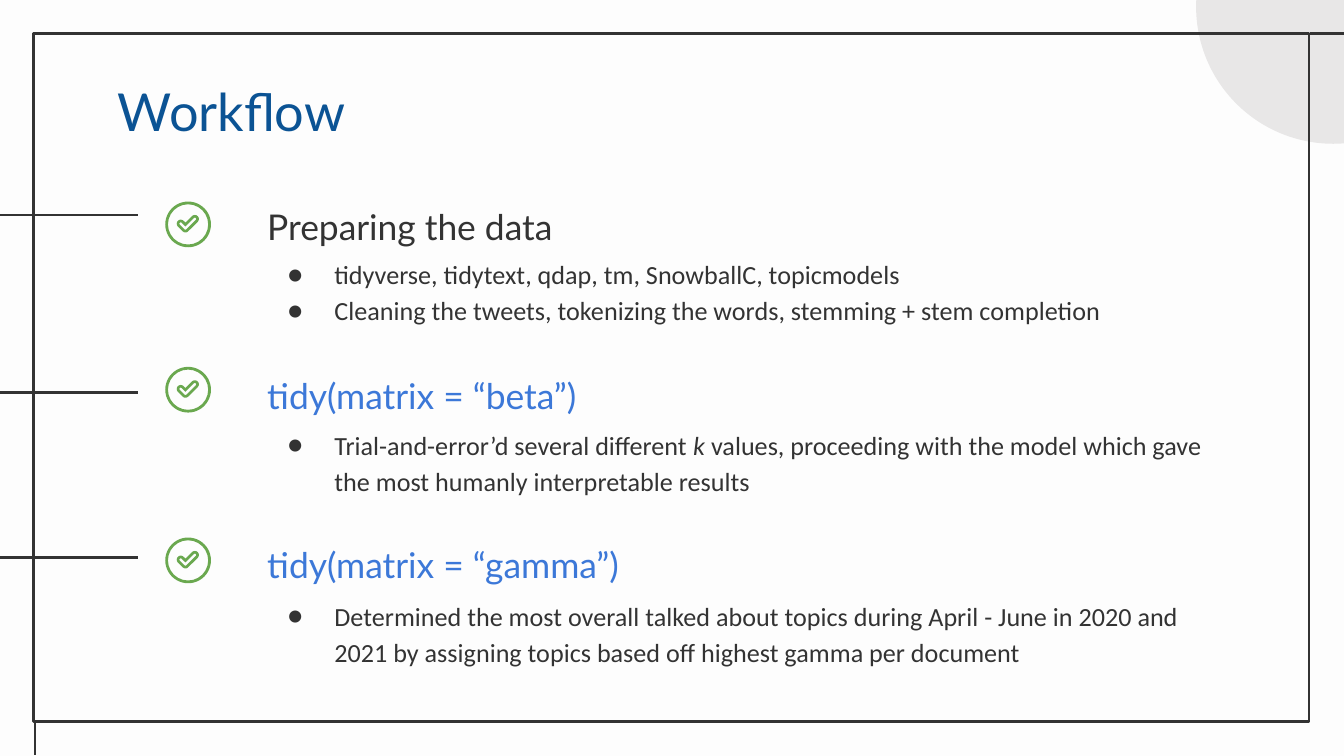
import math
from dataclasses import dataclass
from typing import NamedTuple

from lxml import etree
from pptx import Presentation
from pptx import util as u
from pptx.dml.color import RGBColor
from pptx.enum import shapes, text
from pptx.oxml import ns


@dataclass(frozen=True)
class Theme:
    paper: str = "FDFDFD"
    ink: str = "333333"
    title: str = "0B5394"
    code: str = "3C78D8"
    check: str = "6AA84F"
    disc: str = "E8E7E7"
    heading_font: str = "Lato"
    body_font: str = "Calibri"
    title_size: float = 28
    heading_size: float = 19
    body_size: float = 14
    rule_width: float = 1.5
    spacing: float = 1.15


class Run(NamedTuple):
    words: str
    italic: bool = False


class Step(NamedTuple):
    heading: str
    color: str
    bullets: list[list[Run]]
    rule_y: float
    check_y: float


THEME = Theme()
CHECK_LEFT, CHECK_SIZE = 1.23, 0.34
TEXT_LEFT, TEXT_WIDTH, TEXT_HEIGHT = 1.89, 7.23, 0.58
HEADING_TOP, HEADING_PITCH = 1.36, 1.26
BODY_TOP, BODY_PITCH = 1.79, 1.27

STEPS = [
    Step("Preparing the data", THEME.ink, [
        [Run("tidyverse, tidytext, qdap, tm, SnowballC, topicmodels")],
        [Run("Cleaning the tweets, tokenizing the words, stemming + stem completion")],
    ], 1.6, 1.5),
    Step("tidy(matrix = “beta”)", THEME.code, [
        [Run("Trial-and-error’d several different "), Run("k", italic=True),
         Run(" values, proceeding with the model which gave the most humanly "
             "interpretable results")],
    ], 2.92, 2.73),
    Step("tidy(matrix = “gamma”)", THEME.code, [
        [Run("Determined the most overall talked about topics during April - June "
             "in 2020 and 2021 by assigning topics based off highest gamma per document")],
    ], 4.15, 4.0),
]


def rgb(color: str) -> RGBColor:
    return RGBColor.from_string(color)


def fill_plain(shape, color: str) -> None:
    shape.shadow.inherit = False
    shape.fill.solid()
    shape.fill.fore_color.rgb = rgb(color)
    shape.line.fill.background()


def add_rule(slide, x1: float, y1: float, x2: float, y2: float) -> None:
    rule = slide.shapes.add_connector(
        shapes.MSO_CONNECTOR.STRAIGHT, *map(u.Inches, (x1, y1, x2, y2)))
    rule.line.color.rgb = rgb(THEME.ink)
    rule.line.width = u.Pt(THEME.rule_width)
    etree.SubElement(rule._element.spPr, ns.qn("a:effectLst"))


def add_bullet(paragraph) -> None:
    props = paragraph._p.get_or_add_pPr()
    props.set("marL", str(u.Inches(0.5)))
    props.set("indent", str(u.Inches(-0.35)))
    bullet_color = etree.SubElement(props, ns.qn("a:buClr"))
    etree.SubElement(bullet_color, ns.qn("a:srgbClr"), val=THEME.ink)
    etree.SubElement(props, ns.qn("a:buFont"), typeface=THEME.body_font)
    etree.SubElement(props, ns.qn("a:buChar"), char="●")


def add_words(slide, box: tuple, paragraphs: list[list[Run]], font: str, size: float,
              color: str, spacing: float = 1.0, bulleted: bool = False,
              anchor=text.MSO_ANCHOR.TOP) -> None:
    frame = slide.shapes.add_textbox(*map(u.Inches, box)).text_frame
    margin = u.Inches(0.1)
    frame_format = {"word_wrap": True, "vertical_anchor": anchor,
                    "margin_left": margin, "margin_right": margin,
                    "margin_top": margin, "margin_bottom": margin}
    for name, value in frame_format.items():
        setattr(frame, name, value)
    for index, runs in enumerate(paragraphs):
        paragraph = frame.add_paragraph() if index else frame.paragraphs[0]
        if bulleted:
            add_bullet(paragraph)
        paragraph.line_spacing = spacing
        for words, italic in runs:
            run = paragraph.add_run()
            run.text = words
            run_format = {"name": font, "size": u.Pt(size), "italic": italic}
            for name, value in run_format.items():
                setattr(run.font, name, value)
            run.font.color.rgb = rgb(color)


def tick_contour(left: float, top: float, radius: float) -> list[tuple]:
    """Rounded outline at a given distance from the tick's two 45-degree strokes."""
    def arc(x: float, y: float, first: int, last: int) -> list[tuple]:
        return [(x + radius * math.cos(math.radians(a)),
                 y + radius * math.sin(math.radians(a)))
                for a in range(first, last + 1, 15)]

    elbow_x, elbow_y = left + 0.15, top + 0.2
    points = (arc(elbow_x - 0.035, elbow_y - 0.035, 135, 315)
              + [(elbow_x, elbow_y - radius * math.sqrt(2))]
              + arc(elbow_x + 0.07, elbow_y - 0.07, 225, 405)
              + arc(elbow_x, elbow_y, 45, 135))
    return [(u.Inches(x), u.Inches(y)) for x, y in points]


def add_check(slide, left: float, top: float) -> None:
    ring = slide.shapes.add_shape(
        shapes.MSO_SHAPE.DONUT, *map(u.Inches, (left, top, CHECK_SIZE, CHECK_SIZE)))
    ring.adjustments[0] = 0.06
    fill_plain(ring, THEME.check)

    outer = tick_contour(left, top, 0.03)
    inner = tick_contour(left, top, 0.01)[::-1]
    builder = slide.shapes.build_freeform(*outer[0])
    builder.add_line_segments(outer[1:], close=True)
    builder.move_to(*inner[0])
    builder.add_line_segments(inner[1:], close=True)
    fill_plain(builder.convert_to_shape(), THEME.check)


def add_backdrop(slide) -> None:
    slide.background.fill.solid()
    slide.background.fill.fore_color.rgb = rgb(THEME.paper)
    disc = slide.shapes.add_shape(
        shapes.MSO_SHAPE.OVAL, *map(u.Inches, (8.9, -0.97, 2.04, 2.04)))
    fill_plain(disc, THEME.disc)
    for step in STEPS:
        add_rule(slide, 0, step.rule_y, 1.03, step.rule_y)
    border = slide.shapes.add_shape(
        shapes.MSO_SHAPE.RECTANGLE, *map(u.Inches, (0.25, 0.25, 9.49, 5.12)))
    border.shadow.inherit = False
    border.fill.background()
    border.line.color.rgb = rgb(THEME.ink)
    border.line.width = u.Pt(THEME.rule_width)
    add_rule(slide, 10, 0.25, 9.75, 0.25)
    add_rule(slide, 0.26, 5.38, 0.26, 5.62)


def main() -> None:
    deck = Presentation()
    deck.slide_width = u.Inches(10)
    deck.slide_height = deck.slide_width * 9 // 16
    slide = deck.slides.add_slide(deck.slide_layouts[6])

    # Frame, corner disc and side rules
    add_backdrop(slide)

    # Title
    add_words(slide, (0.78, 0.49, 8.43, 0.63), [[Run("Workflow")]],
              THEME.heading_font, THEME.title_size, THEME.title)

    # Steps: heading, bullets and check mark
    for index, step in enumerate(STEPS):
        heading_top = HEADING_TOP + index * HEADING_PITCH
        body_top = BODY_TOP + index * BODY_PITCH
        add_words(slide, (TEXT_LEFT, body_top, TEXT_WIDTH, TEXT_HEIGHT), step.bullets,
                  THEME.body_font, THEME.body_size, THEME.ink, THEME.spacing,
                  bulleted=True)
        add_words(slide, (TEXT_LEFT, heading_top, TEXT_WIDTH, TEXT_HEIGHT),
                  [[Run(step.heading)]], THEME.heading_font, THEME.heading_size,
                  step.color, THEME.spacing, anchor=text.MSO_ANCHOR.BOTTOM)
        add_check(slide, CHECK_LEFT, step.check_y)

    deck.save("out.pptx")


if __name__ == "__main__":
    main()
